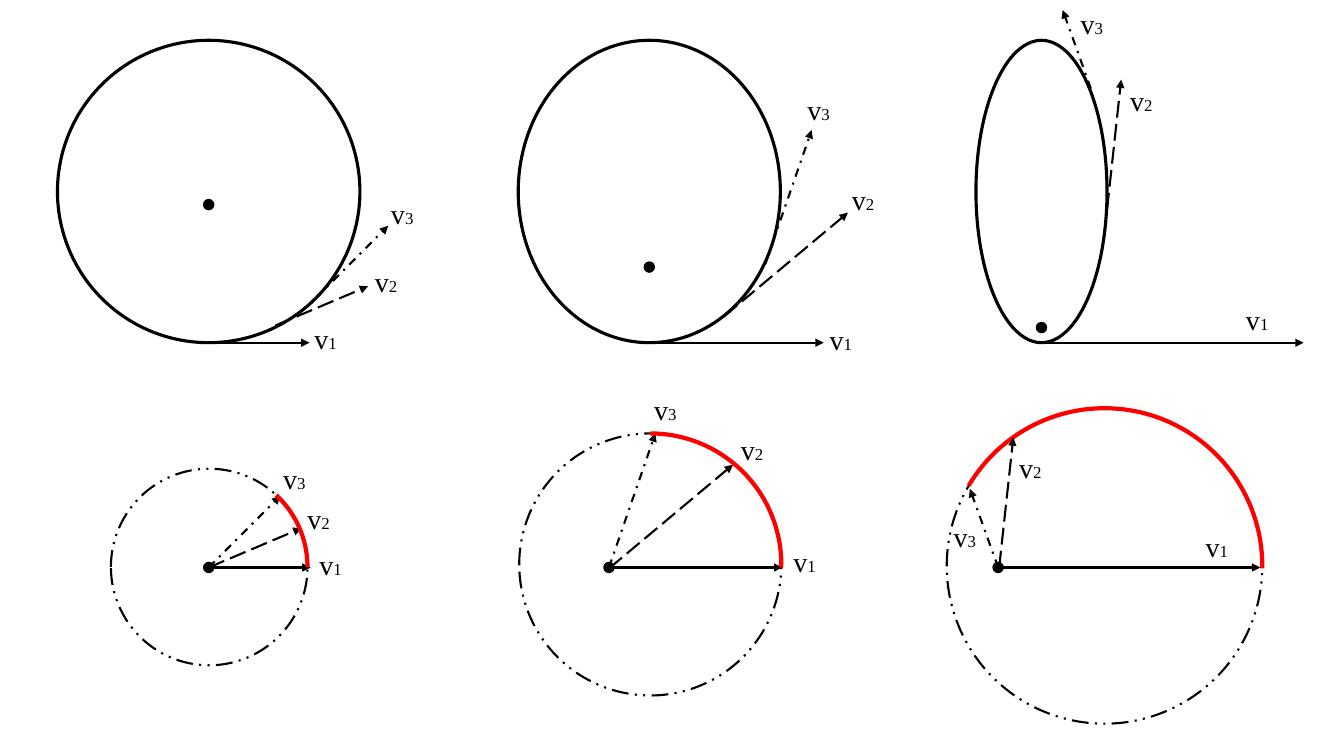
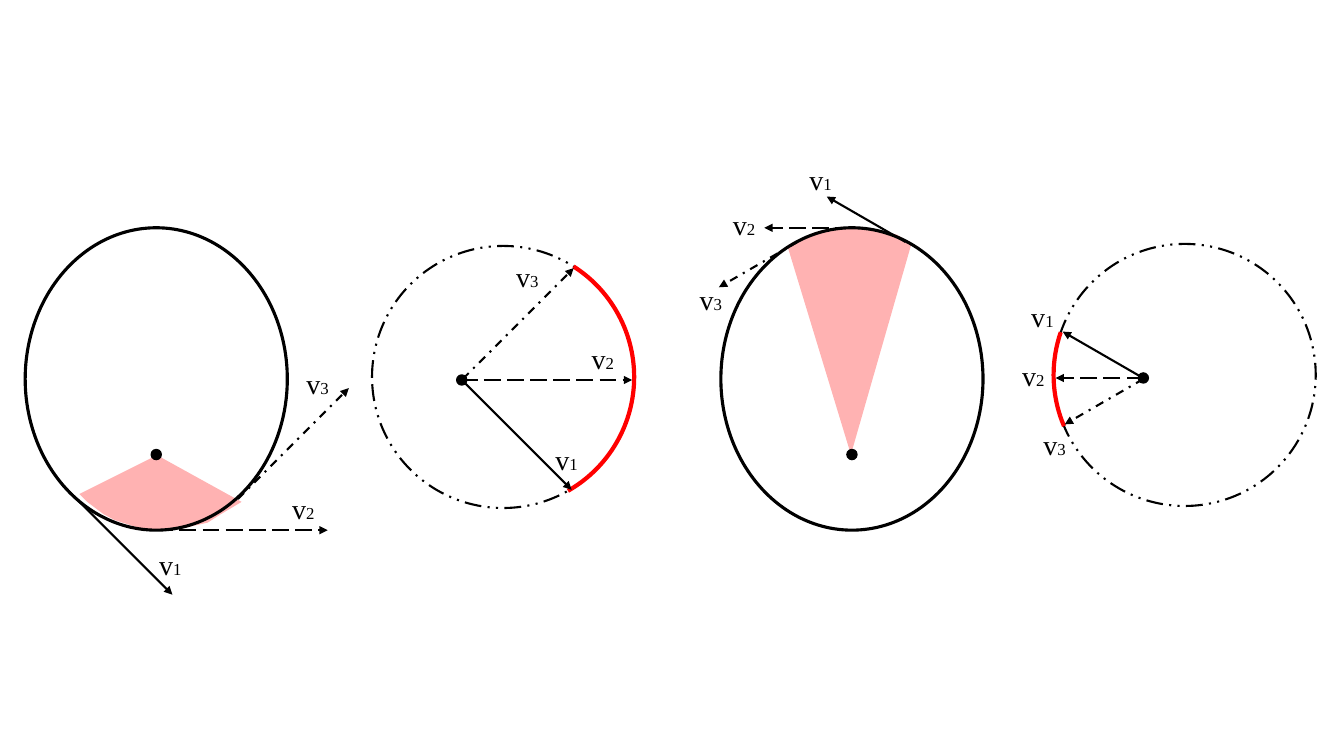
import lxml.etree
import pptx
import pptx.dml.color
import pptx.enum.dml
import pptx.enum.shapes
import pptx.enum.text
import pptx.oxml.ns
import pptx.util

Inches, Pt = pptx.util.Inches, pptx.util.Pt
SHAPE = pptx.enum.shapes.MSO_SHAPE
DASH = pptx.enum.dml.MSO_LINE
qn = pptx.oxml.ns.qn

# Shared style
BLACK = pptx.dml.color.RGBColor(0x00, 0x00, 0x00)
RED = pptx.dml.color.RGBColor(0xFF, 0x00, 0x00)
FONT = "Times New Roman"
SECTOR_ALPHA = 30
DOT = 0.1
VECTOR_DASHES = (None, DASH.LONG_DASH, DASH.DASH_DOT)  # v1, v2, v3
ORBIT_LINE = {"width": Pt(2.25)}
CIRCLE_LINE = {"width": Pt(1.5), "dash_style": DASH.DASH_DOT_DOT}
ARC_LINE = {"width": Pt(3)}
DOT_LINE = {"width": Pt(1)}


def set_all(obj, values):
    for name, value in values.items():
        setattr(obj, name, value)


class Deck:
    def __init__(self):
        self.prs = pptx.Presentation()
        set_all(self.prs, {"slide_width": Inches(13.33), "slide_height": Inches(7.5)})
        self.s = None

    def new_slide(self):
        self.s = self.prs.slides.add_slide(self.prs.slide_layouts[6])

    def stroke(self, line, color, values):
        line.fill.solid()
        line.fill.fore_color.rgb = color
        set_all(line, values)

    def outline(self, kind, box, color, values):
        sp = self.s.shapes.add_shape(kind, *map(Inches, box))
        sp.shadow.inherit = False
        sp.fill.background()
        self.stroke(sp.line, color, values)
        return sp

    def ellipse(self, box, values):
        return self.outline(SHAPE.OVAL, box, BLACK, values)

    def dot(self, x, y):
        sp = self.ellipse((x - DOT / 2, y - DOT / 2, DOT, DOT), DOT_LINE)
        sp.fill.solid()
        sp.fill.fore_color.rgb = BLACK

    def arc(self, box, angles):
        sp = self.outline(SHAPE.ARC, box, RED, ARC_LINE)
        for i, degrees in enumerate(angles):
            sp.adjustments[i] = degrees * 0.6  # 60000 units a degree, scaled by 100000

    def sector(self, points, rotation):
        pts = [(Inches(x), Inches(y)) for x, y in points]
        fb = self.s.shapes.build_freeform(*pts[0], scale=1.0)
        fb.add_line_segments(pts[1:], close=True)
        sp = fb.convert_to_shape()
        sp.shadow.inherit = False
        sp.rotation = rotation
        sp.line.fill.background()
        sp.fill.solid()
        sp.fill.fore_color.rgb = RED
        clr = sp.element.spPr.find(qn("a:solidFill")).find(qn("a:srgbClr"))
        lxml.etree.SubElement(clr, qn("a:alpha"), val=str(SECTOR_ALPHA * 1000))

    def arrow(self, tail, vector, dash):
        x, y = tail
        dx, dy = vector
        c = self.s.shapes.add_connector(
            pptx.enum.shapes.MSO_CONNECTOR.STRAIGHT,
            *map(Inches, (x, y, x + dx, y + dy)))
        self.stroke(c.line, BLACK, {"width": Pt(1.5), "dash_style": dash})
        spPr = c.element.spPr
        lxml.etree.SubElement(spPr.find(qn("a:ln")), qn("a:tailEnd"), type="triangle")
        lxml.etree.SubElement(spPr, qn("a:effectLst"))

    def arrows(self, tails, vectors):
        for tail, vector, dash in zip(tails, vectors, VECTOR_DASHES):
            self.arrow(tail, vector, dash)

    def labels(self, places):
        for n, (x, y) in enumerate(places, 1):
            tf = self.s.shapes.add_textbox(*map(Inches, (x, y, 1, 0.44))).text_frame
            set_all(tf, {"word_wrap": True,
                         "auto_size": pptx.enum.text.MSO_AUTO_SIZE.SHAPE_TO_FIT_TEXT})
            p = tf.paragraphs[0]
            for text, size in (("v", 20), (str(n), 12)):
                r = p.add_run()
                r.text = text
                set_all(r.font, {"size": Pt(size), "name": FONT})
                r.font.color.rgb = BLACK

    def orbit(self, box, focus, tails, vectors, labels, sector=None, rotation=0):
        if sector:
            self.sector(sector, rotation)
        self.ellipse(box, ORBIT_LINE)
        self.dot(*focus)
        self.arrows(tails, vectors)
        self.labels(labels)

    def hodograph(self, box, origin, tails, vectors, labels, angles, arc_on_top=False):
        self.ellipse(box, CIRCLE_LINE)
        if not arc_on_top:
            self.arc(box, angles)
        self.dot(*origin)
        self.arrows(tails, vectors)
        if arc_on_top:
            self.arc(box, angles)
        self.labels(labels)


# Velocity vectors v1, v2, v3, shared by each orbit and its hodograph
ROUND = ((1, 0), (0.92, -0.39), (0.71, -0.71))
OVAL = ((1.73, 0), (1.23, -1.03), (0.46, -1.33))
NARROW = ((2.6, 0), (0.14, -1.29), (-0.28, -0.78))
NEAR = ((1.09, 1.09), (1.7, 0), (1.1, -1.1))
FAR = ((-0.78, -0.45), (-0.87, 0), (-0.78, 0.45))

# Sector outlines, each starting at the focus
NEAR_SECTOR = ((1.53, 4.52), (0.79, 4.96), (0.87, 5.03), (1.04, 5.14), (1.15, 5.19),
               (1.35, 5.24), (1.5, 5.27), (1.65, 5.25), (1.85, 5.22), (2.08, 5.15),
               (2.2, 5.06), (2.4, 4.92))
FAR_SECTOR = ((8.44, 4.51), (9.04, 2.42), (8.9, 2.33), (8.78, 2.3), (8.66, 2.27),
              (8.57, 2.27), (8.44, 2.26), (8.34, 2.25), (8.21, 2.29), (8.01, 2.35),
              (7.88, 2.4), (7.81, 2.44))

deck = Deck()

# Slide 1: three orbits above their hodographs
deck.new_slide()
deck.orbit((0.57, 0.4, 3, 3), (2.07, 2.03),
           ((2.07, 3.4), (2.73, 3.23), (3.14, 2.95)), ROUND,
           ((3.02, 3.14), (3.62, 2.58), (3.78, 1.9)))
deck.orbit((5.14, 0.4, 2.6, 3), (6.44, 2.65),
           ((6.44, 3.4), (7.18, 3.14), (7.59, 2.62)), OVAL,
           ((8.13, 3.15), (8.35, 1.76), (7.91, 0.87)))
deck.orbit((9.68, 0.4, 1.3, 3), (10.33, 3.25),
           ((10.33, 3.4), (10.98, 2.08), (10.82, 0.88)), NARROW,
           ((12.26, 2.95), (11.11, 0.78), (10.62, 0.02)))
deck.hodograph((1.1, 4.65, 1.95, 1.95), (2.07, 5.63),
               ((2.08, 5.63), (2.07, 5.63), (2.07, 5.63)), ROUND,
               ((3.07, 5.38), (2.95, 4.93), (2.71, 4.53)), (312.97, 0), arc_on_top=True)
deck.hodograph((5.15, 4.3, 2.6, 2.6), (6.04, 5.63),
               ((6.03, 5.63), (6.04, 5.64), (6.04, 5.63)), OVAL,
               ((7.77, 5.35), (7.25, 4.24), (6.39, 3.84)), (270, 1.34), arc_on_top=True)
deck.hodograph((9.39, 4.05, 3.13, 3.13), (9.9, 5.63),
               ((9.9, 5.63), (9.91, 5.63), (9.9, 5.63)), NARROW,
               ((11.86, 5.2), (10.01, 4.42), (9.36, 5.1)), (210.67, 0.86))

# Slide 2: swept sectors near to and far from the focus
deck.new_slide()
deck.orbit((0.25, 2.26, 2.6, 3), (1.55, 4.51),
           ((0.62, 4.81), (1.55, 5.26), (2.36, 4.95)), NEAR,
           ((1.48, 5.38), (2.8, 4.83), (2.94, 3.59)), NEAR_SECTOR, 4.2)
deck.hodograph((3.69, 2.44, 2.6, 2.6), (4.58, 3.77),
               ((4.58, 3.77), (4.57, 3.77), (4.59, 3.76)), NEAR,
               ((5.41, 4.34), (5.77, 3.34), (5.02, 2.53)), (302.5, 60.34))
deck.orbit((7.15, 2.26, 2.6, 3), (8.45, 4.51),
           ((8.98, 2.4), (8.45, 2.26), (7.91, 2.4)), FAR,
           ((7.93, 1.56), (7.17, 2.01), (6.84, 2.75)), FAR_SECTOR)
deck.hodograph((10.45, 2.42, 2.6, 2.6), (11.34, 3.75),
               ((11.32, 3.74), (11.34, 3.75), (11.34, 3.76)), FAR,
               ((10.13, 2.92), (10.04, 3.51), (10.25, 4.19)), (156.97, 199.03))

deck.prs.save("out.pptx")
